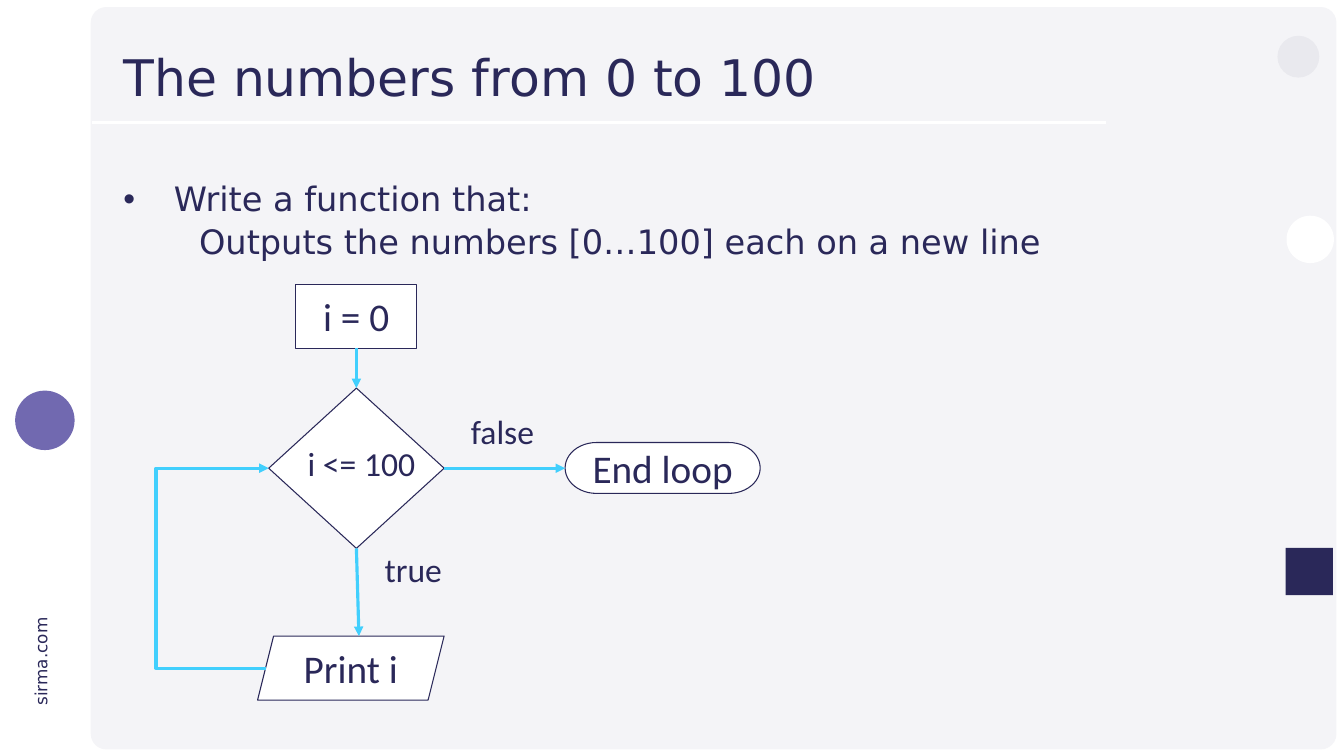
from lxml.etree import SubElement
from pptx import Presentation
from pptx.dml.color import RGBColor
from pptx.enum.shapes import MSO_CONNECTOR as Link, MSO_SHAPE as Form
from pptx.enum.text import MSO_ANCHOR as Anchor, PP_ALIGN as Align
from pptx.oxml.ns import qn
from pptx.util import Inches, Pt

COLORS = {
    "ink": "2A2859",
    "panel": "F4F4F7",
    "mist": "E9E9EE",
    "violet": "7169B0",
    "white": "FFFFFF",
    "arrow": "41CFFD",
}

deck = Presentation()
deck.slide_width, deck.slide_height = Inches(26.66), Inches(15)
slide = deck.slides.add_slide(deck.slide_layouts[6])


def add_form(parent, form, box, fill, outlined=False):
    shape = parent.shapes.add_shape(form, *map(Inches, box))
    shape.shadow.inherit = False
    shape.fill.solid()
    shape.fill.fore_color.rgb = RGBColor.from_string(COLORS[fill])
    if outlined:
        shape.line.color.rgb = RGBColor.from_string(COLORS["ink"])
        shape.line.width = Pt(1.5)
    else:
        shape.line.fill.background()
    return shape


def write(shape, lines, size, font, align=Align.LEFT, anchor=Anchor.TOP,
          insets=(0.1, 0.05), spacing=1.0, wrap=True):
    frame = shape.text_frame
    frame.text = "\n".join(lines)
    frame.word_wrap = wrap
    frame.vertical_anchor = anchor
    frame.margin_left = frame.margin_right = Inches(insets[0])
    frame.margin_top = frame.margin_bottom = Inches(insets[1])
    for paragraph in frame.paragraphs:
        paragraph.alignment = align
        paragraph.line_spacing = spacing
        for run in paragraph.runs:
            run.font.size = Pt(size)
            run.font.name = font
            run.font.color.rgb = RGBColor.from_string(COLORS["ink"])
    return frame


panel = add_form(slide, Form.ROUNDED_RECTANGLE, (1.8, 0.14, 24.71, 14.73), "panel")
panel.adjustments[0] = 0.021

site = slide.shapes.add_textbox(*map(Inches, (-0.18, 12.86, 1.97, 0.5)))
site.rotation = 270
write(site, ["sirma.com"], 24, "DejaVu Sans", wrap=False)

for form, box, fill in [
    (Form.OVAL, (25.34, 0.71, 0.83, 0.83), "mist"),
    (Form.RECTANGLE, (1.83, 0.53, 18.34, 2.38), "panel"),
    (Form.RECTANGLE, (25.5, 10.87, 0.94, 0.94), "ink"),
    (Form.OVAL, (0.3, 7.75, 1.18, 1.18), "violet"),
    (Form.OVAL, (25.52, 4.28, 0.94, 0.94), "white"),
]:
    add_form(slide, form, box, fill)

title = slide.shapes.add_textbox(*map(Inches, (2.35, 0.8, 19.57, 1.58)))
write(title, ["The numbers from 0 to 100"], 72, "DejaVu Sans",
      anchor=Anchor.MIDDLE, spacing=0.9)

task = slide.shapes.add_textbox(*map(Inches, (2.35, 3.57, 22.99, 10.32)))
task_frame = write(
    task,
    ["Write a function that:", "Outputs the numbers [0…100] each on a new line"],
    48, "DejaVu Sans", spacing=0.9)
request, detail = task_frame.paragraphs
detail.level = 1
detail.space_before = Pt(10)
for paragraph, margin, bullet in [(request, 1, "•"), (detail, 2.5, None)]:
    properties = paragraph._p.get_or_add_pPr()
    properties.set("marL", str(Inches(margin)))
    properties.set("indent", str(Inches(-1)))
    if bullet:
        SubElement(properties, qn("a:buFont"), typeface="Arial")
        SubElement(properties, qn("a:buChar"), char=bullet)
    else:
        SubElement(properties, qn("a:buNone"))

condition = slide.shapes.add_group_shape()
add_form(condition, Form.DIAMOND, (5.33, 7.7, 3.48, 3.18), "white", outlined=True)
test = condition.shapes.add_textbox(*map(Inches, (5.65, 8.23, 3.04, 1.93)))
write(test, ["i <= 100"], 48, "Calibri", Align.CENTER, Anchor.MIDDLE, (0.2, 0.1))

for form, box, step in [
    (Form.RECTANGLE, (5.87, 5.64, 2.39, 1.27), "i = 0"),
    (Form.FLOWCHART_TERMINATOR, (11.21, 8.78, 3.87, 1.01), "End loop"),
    (Form.PARALLELOGRAM, (5.11, 12.62, 3.7, 1.27), "Print i"),
]:
    node = add_form(slide, form, box, "white", outlined=True)
    write(node, [step], 56, "Calibri", Align.CENTER, Anchor.MIDDLE, (0.2, 0.1))

for box, branch in [
    ((9.03, 7.83, 2.05, 1.32), "false"),
    ((7.32, 10.58, 1.97, 1.32), "true"),
]:
    label = slide.shapes.add_textbox(*map(Inches, box))
    write(label, [branch], 48, "Calibri", insets=(0.31, 0.24), spacing=1.1)

loop_start, loop_end, loop_left = 5.27, 5.33, 3.09
for route, ends, color, width in [
    (Link.STRAIGHT, (1.83, 2.43, 21.93, 2.43), "white", 3),
    (Link.STRAIGHT, (7.07, 6.9, 7.07, 7.7), "arrow", 4.5),
    (Link.STRAIGHT, (8.81, 9.29, 11.21, 9.29), "arrow", 4.5),
    (Link.STRAIGHT, (7.07, 10.88, 7.12, 12.62), "arrow", 4.5),
    (Link.ELBOW, (loop_start, 13.26, loop_end, 9.29), "arrow", 4.5),
]:
    link = slide.shapes.add_connector(route, *map(Inches, ends))
    link.line.color.rgb = RGBColor.from_string(COLORS[color])
    link.line.width = Pt(width)
    SubElement(link._element.spPr, qn("a:effectLst"))
    if color == "arrow":
        SubElement(link.line._get_or_add_ln(), qn("a:tailEnd"), type="triangle")
    if route == Link.ELBOW:
        bend = round((loop_left - loop_start) / (loop_end - loop_start) * 100000)
        guides = link._element.spPr.find(qn("a:prstGeom")).get_or_add_avLst()
        SubElement(guides, qn("a:gd"), name="adj1", fmla=f"val {bend}")

deck.save("out.pptx")
